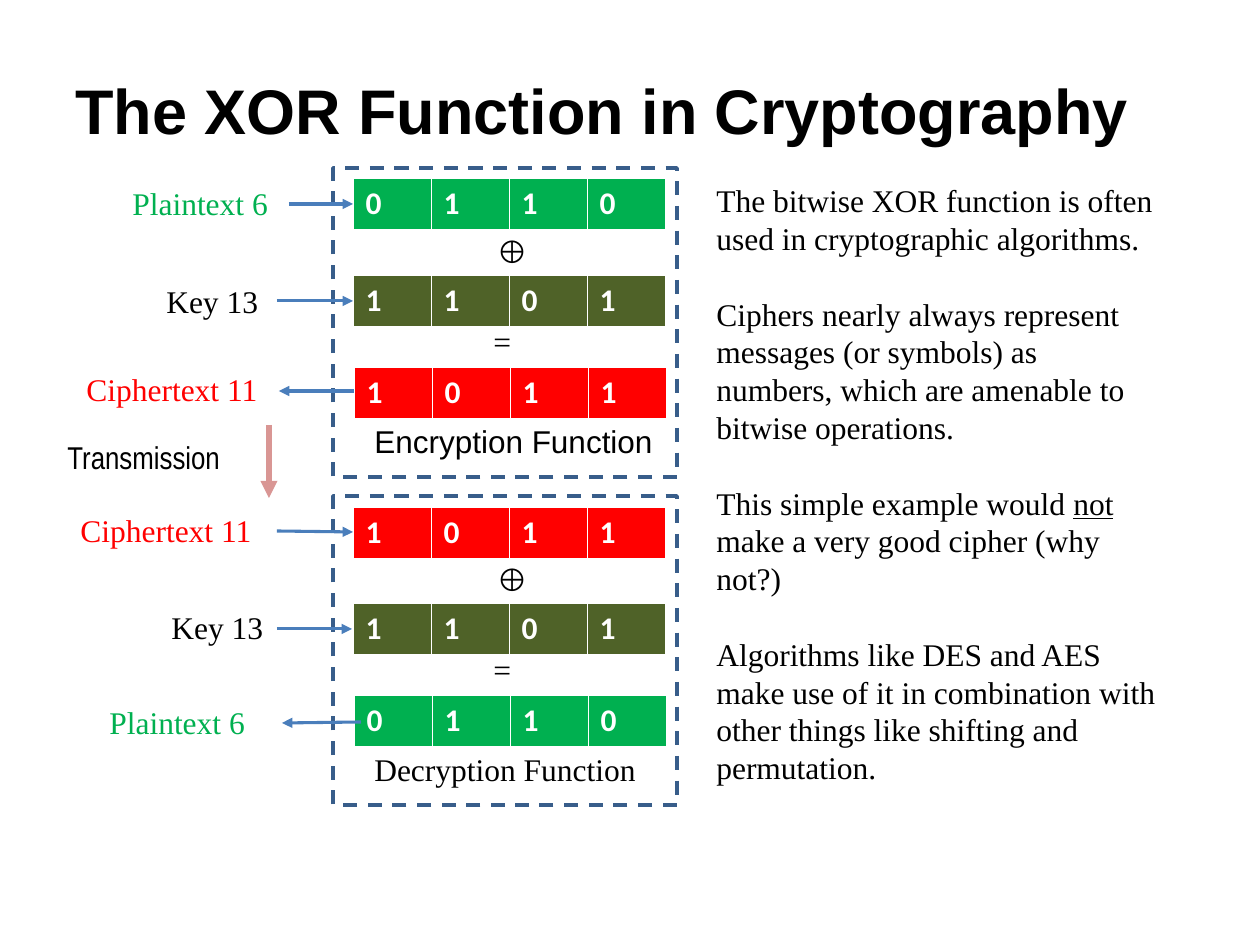
from lxml.etree import SubElement
from pptx import Presentation
from pptx.dml.color import RGBColor
from pptx.enum.dml import MSO_LINE
from pptx.enum.shapes import MSO_CONNECTOR, MSO_SHAPE
from pptx.enum.text import MSO_ANCHOR
from pptx.oxml.ns import qn
from pptx.util import Emu, Pt

COLORS = {
    "black": "000000", "white": "FFFFFF", "plain": "00B050", "key": "4F6228",
    "cipher": "FF0000", "frame": "385D8A", "arrow": "4A7EBB", "transmission": "D99694",
}
SERIF = "Times New Roman"
PX = 914400 / 126
BORDERS = {"a:lnL": 0.45, "a:lnR": 0.45, "a:lnT": 0.45, "a:lnB": 1.5}
CELL_WIDTH, CELL_HEIGHT = 78, 52


def add_text(box, paragraphs, font=SERIF, color="black", size=18, bold=False):
    """Add a text box; each paragraph is a list of runs, and _run_ is underlined."""
    text_box = slide.shapes.add_textbox(*[Emu(round(value * PX)) for value in box])
    text_frame = text_box.text_frame
    text_frame.word_wrap = True
    for index, runs in enumerate(paragraphs):
        paragraph = text_frame.paragraphs[0] if index == 0 else text_frame.add_paragraph()
        paragraph.line_spacing = Pt(size * 1.2)
        if index:
            paragraph.space_before = Pt(size * 1.2)
        for text in runs:
            run = paragraph.add_run()
            run.text = text.strip("_")
            run.font.name = font
            run.font.size = Pt(size)
            run.font.bold = bold
            run.font.underline = text.startswith("_")
            run.font.color.rgb = RGBColor.from_string(COLORS[color])
    return text_frame


def add_arrow(points, color="arrow", width=1.75):
    """Add a straight arrow that points at the second end."""
    connector = slide.shapes.add_connector(
        MSO_CONNECTOR.STRAIGHT, *[Emu(round(value * PX)) for value in points])
    connector.line.color.rgb = RGBColor.from_string(COLORS[color])
    connector.line.width = Pt(width)
    SubElement(connector.line._get_or_add_ln(), qn("a:tailEnd"), type="triangle")
    SubElement(connector._element.spPr, qn("a:effectLst"))


presentation = Presentation()
presentation.slide_width = Emu(round(1260 * PX))
presentation.slide_height = Emu(round(945 * PX))
slide = presentation.slides.add_slide(presentation.slide_layouts[6])

# Title
title = add_text((63, 41, 1134, 137), [["The XOR Function in Cryptography"]],
                 font="Arial", size=36, bold=True)
title.vertical_anchor = MSO_ANCHOR.MIDDLE

# Each function: frame top, caption, caption font, and its three bit rows
# Bit row: bits, color, left, top, label, label box, arrow ends
functions = [
    (168, "Encryption Function", "Arial", [
        ("0110", "plain", 353, 178, "Plaintext 6", (120, 178, 179, 50), (289, 204, 353, 204)),
        ("1101", "key", 353, 275, "Key 13", (154, 276, 129, 50), (277, 301, 353, 301)),
        ("1011", "cipher", 354, 367, "Ciphertext 11", (74, 364, 221, 50), (354, 391, 279, 391)),
    ]),
    (496, "Decryption Function", SERIF, [
        ("1011", "cipher", 353, 507, "Ciphertext 11", (68, 505, 222, 50), (277, 531, 353, 532)),
        ("1101", "key", 353, 603, "Key 13", (159, 602, 129, 50), (277, 629, 352, 629)),
        ("0110", "plain", 354, 695, "Plaintext 6", (97, 697, 186, 50), (361, 722, 282, 723)),
    ]),
]
for top, caption, caption_font, bit_rows in functions:
    # Dashed frame
    frame = slide.shapes.add_shape(
        MSO_SHAPE.RECTANGLE, *[Emu(round(value * PX)) for value in (333, top, 344, 309)])
    frame.shadow.inherit = False
    frame.fill.background()
    frame.line.color.rgb = RGBColor.from_string(COLORS["frame"])
    frame.line.width = Pt(2)
    frame.line.dash_style = MSO_LINE.DASH

    # Operators and caption
    add_text((484, top + 58, 52, 50), [["⊕"]])
    add_text((481, top + 148, 43, 50), [["="]])
    add_text((362, top + 248, 328, 50), [[caption]], font=caption_font)

    # Bit tables with labels and arrows
    for bits, color, left, row_top, label, label_box, arrow in bit_rows:
        box = (left, row_top, CELL_WIDTH * len(bits), CELL_HEIGHT)
        table = slide.shapes.add_table(
            1, len(bits), *[Emu(round(value * PX)) for value in box]).table
        table.first_row = False
        table.horz_banding = False
        for column, bit in enumerate(bits):
            cell = table.cell(0, column)
            properties = cell._tc.get_or_add_tcPr()
            for tag, width in BORDERS.items():
                border = SubElement(properties, qn(tag), w=str(Pt(width)))
                fill = SubElement(border, qn("a:solidFill"))
                SubElement(fill, qn("a:srgbClr"), val=COLORS["white"])
            cell.fill.solid()
            cell.fill.fore_color.rgb = RGBColor.from_string(COLORS[color])
            cell.text_frame.text = bit
            font = cell.text_frame.paragraphs[0].runs[0].font
            font.name = "Calibri"
            font.size = Pt(18)
            font.bold = True
            font.color.rgb = RGBColor.from_string(COLORS["white"])
        add_text(label_box, [[label]], color="black" if color == "key" else color)
        add_arrow(arrow)

# Transmission between the two functions
add_text((55, 432, 217, 88), [["Transmission"]], font="Arial Narrow")
add_arrow((269, 425, 269, 498), "transmission", 3.25)

# Explanation
add_text((704, 175, 469, 617), [
    ["The bitwise XOR function is often used in cryptographic algorithms."],
    ["Ciphers nearly always represent messages (or symbols) as numbers, "
     "which are amenable to bitwise operations."],
    ["This simple example would ", "_not_", " make a very good cipher (why not?)"],
    ["Algorithms like DES and AES make use of it in combination with "
     "other things like shifting and permutation."],
])

presentation.save("out.pptx")
